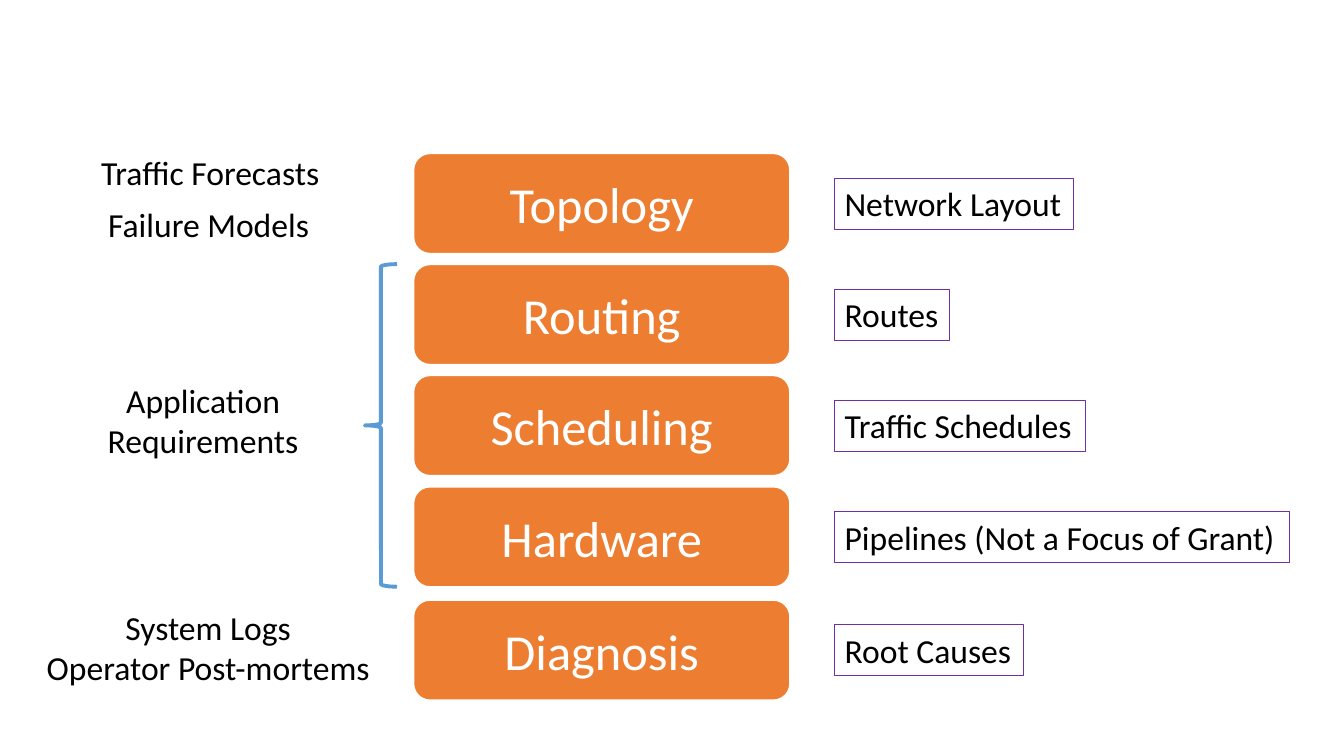
from pptx import Presentation
from pptx.dml.color import RGBColor
from pptx.enum.shapes import MSO_SHAPE
from pptx.enum.text import MSO_ANCHOR, MSO_AUTO_SIZE, PP_ALIGN
from pptx.util import Pt

ROUNDED, BRACE = MSO_SHAPE.ROUNDED_RECTANGLE, MSO_SHAPE.LEFT_BRACE
MIDDLE, FIT = MSO_ANCHOR.MIDDLE, MSO_AUTO_SIZE.SHAPE_TO_FIT_TEXT
LEFT, CENTER = PP_ALIGN.LEFT, PP_ALIGN.CENTER

ORANGE = RGBColor(0xED, 0x7D, 0x31)
PURPLE = RGBColor(0x70, 0x30, 0xA0)
BLUE = RGBColor(0x5B, 0x9B, 0xD5)
WHITE = RGBColor(0xFF, 0xFF, 0xFF)
BLACK = RGBColor(0, 0, 0)

LAYER_FONT = {"name": "Calibri", "size": Pt(36)}
LABEL_FONT = {"name": "Calibri", "size": Pt(24)}

LAYER_LEFT, LAYER_WIDTH, LAYER_HEIGHT = 295.2, 269.3, 72
OUTPUT_LEFT, OUTPUT_OFFSET, LINE_HEIGHT = 596.2, 18, 36.35

LAYERS = [
    ("Topology", 109.4, "Network Layout", 170.6),
    ("Routing", 188.7, "Routes", 82),
    ("Scheduling", 268, "Traffic Schedules", 179.3),
    ("Hardware", 347.5, "Pipelines (Not a Focus of Grant)", 324.7),
    ("Diagnosis", 428.4, "Root Causes", 134.6),
]
INPUTS = [
    (["Traffic Forecasts"], 64.1, 105.1, 172.1, 36.35),
    (["Failure Models"], 69.1, 141.8, 159.8, 36.35),
    (["Application", "Requirements"], 69.1, 267.8, 151.9, 65.4),
    (["System Logs", "Operator Post-mortems"], 25.2, 429.8, 247, 65.4),
]


def write(tf, lines, font, color, align):
    """Fill a text frame with one paragraph per line."""
    for i, line in enumerate(lines):
        p = tf.paragraphs[0] if i == 0 else tf.add_paragraph()
        p.alignment = align
        r = p.add_run()
        r.text = line
        for key, value in font.items():
            setattr(r.font, key, value)
        r.font.color.rgb = color


def set_line(sp, color, width):
    """Give a shape a solid outline."""
    sp.line.color.rgb = color
    sp.line.width = Pt(width)


def add_layer(s, name, top):
    """Add one rounded box of the stack."""
    sp = s.shapes.add_shape(ROUNDED, Pt(LAYER_LEFT), Pt(top),
                            Pt(LAYER_WIDTH), Pt(LAYER_HEIGHT))
    sp.shadow.inherit = False
    sp.fill.solid()
    sp.fill.fore_color.rgb = ORANGE
    set_line(sp, WHITE, 1.5)
    sp.text_frame.vertical_anchor = MIDDLE
    write(sp.text_frame, [name], LAYER_FONT, WHITE, CENTER)


def add_label(s, lines, left, top, width, height, align=CENTER):
    """Add an unwrapped text box that fits its text."""
    sp = s.shapes.add_textbox(Pt(left), Pt(top), Pt(width), Pt(height))
    sp.text_frame.word_wrap = False
    sp.text_frame.auto_size = FIT
    write(sp.text_frame, lines, LABEL_FONT, BLACK, align)
    return sp


def add_brace(s, left, top, width, height):
    """Add the brace that groups the middle layers."""
    sp = s.shapes.add_shape(BRACE, Pt(left), Pt(top), Pt(width), Pt(height))
    sp.shadow.inherit = False
    sp.fill.background()
    set_line(sp, BLUE, 2.75)


def main():
    """Build the slide and save it."""
    prs = Presentation()
    prs.slide_width, prs.slide_height = Pt(960), Pt(540)
    s = prs.slides.add_slide(prs.slide_layouts[6])
    for name, top, output, width in LAYERS:
        add_layer(s, name, top)
        sp = add_label(s, [output], OUTPUT_LEFT, top + OUTPUT_OFFSET,
                       width, LINE_HEIGHT, LEFT)
        set_line(sp, PURPLE, 0.75)
    for label in INPUTS:
        add_label(s, *label)
    add_brace(s, 260.6, 188.7, 23, 230.4)
    prs.save("out.pptx")


if __name__ == "__main__":
    main()
